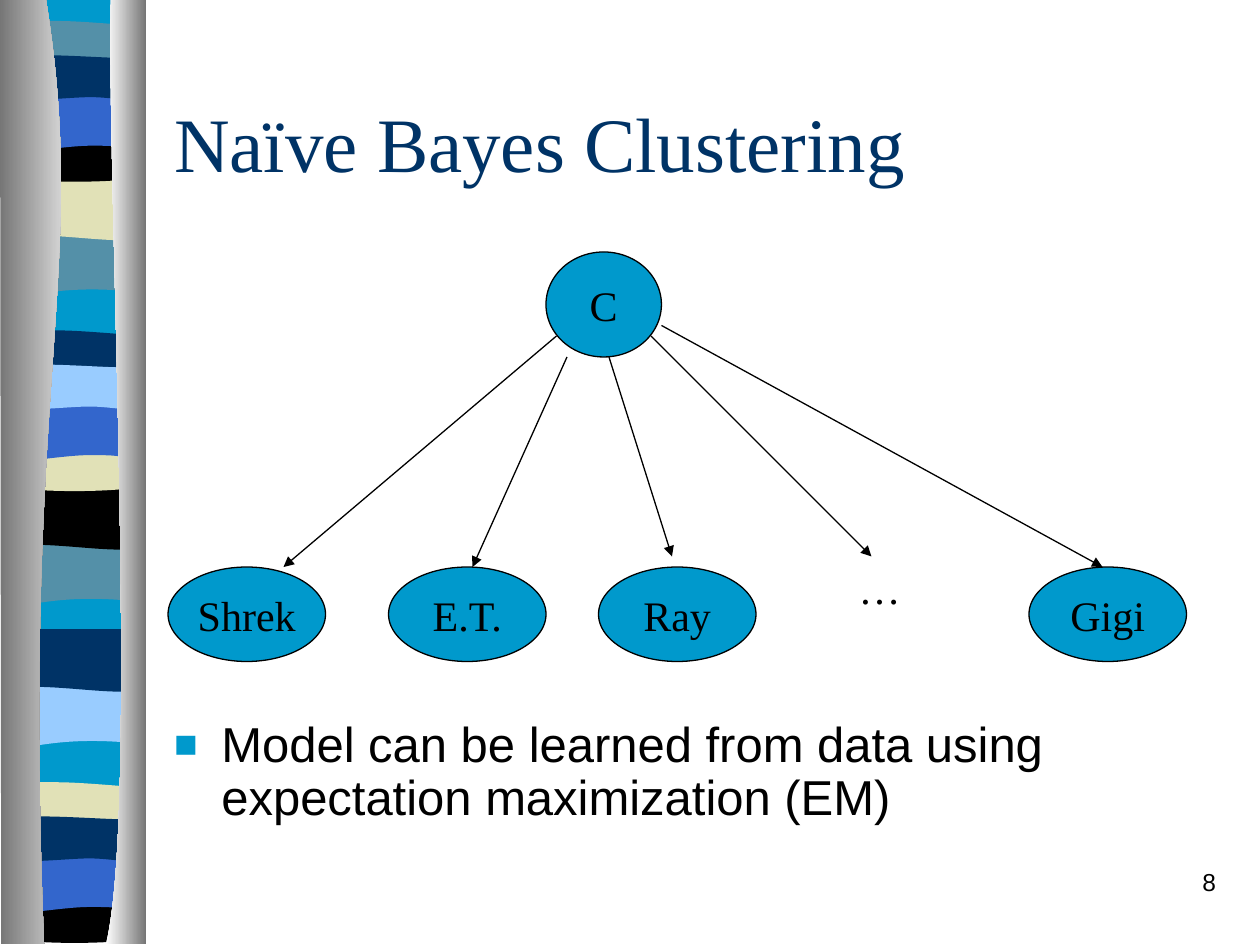
from dataclasses import dataclass

from lxml import etree
from pptx import Presentation
from pptx.dml.color import RGBColor
from pptx.enum.shapes import MSO_CONNECTOR, MSO_SHAPE
from pptx.enum.text import MSO_ANCHOR, PP_ALIGN
from pptx.oxml.ns import qn
from pptx.util import Pt

ELLIPSE = MSO_SHAPE.OVAL
STRAIGHT = MSO_CONNECTOR.STRAIGHT
TOP, MIDDLE = MSO_ANCHOR.TOP, MSO_ANCHOR.MIDDLE
LEFT, CENTER, RIGHT = PP_ALIGN.LEFT, PP_ALIGN.CENTER, PP_ALIGN.RIGHT

CYAN = RGBColor(0x00, 0x99, 0xCC)
STEEL = RGBColor(0x54, 0x90, 0xA8)
CREAM = RGBColor(0xE1, 0xE1, 0xB7)
BLUE = RGBColor(0x33, 0x66, 0xCC)
NAVY = RGBColor(0x00, 0x33, 0x66)
SKY = RGBColor(0x99, 0xCC, 0xFF)
BLACK = RGBColor(0x00, 0x00, 0x00)
GRAY = RGBColor(0x76, 0x76, 0x76)
WHITE = RGBColor(0xFF, 0xFF, 0xFF)
SERIF, SANS = "Times New Roman", "Arial"


@dataclass(frozen=True)
class Profile:
    top: float
    outline: tuple


@dataclass(frozen=True)
class BandSet:
    left: float
    offset: float
    colors: dict


@dataclass(frozen=True)
class Node:
    label: str
    left: float
    top: float
    width: float = 90
    height: float = 54


@dataclass(frozen=True)
class Arrow:
    start: tuple
    end: tuple


@dataclass(frozen=True)
class Label:
    text: str
    left: float
    top: float
    width: float
    height: float
    size: float
    font: str
    color: RGBColor = BLACK
    align: PP_ALIGN = LEFT
    anchor: MSO_ANCHOR = TOP
    wrap: bool = True
    space_before: float = 0


PROFILES = {
    "drape": Profile(133.2, ((78, 0), (78, 34), (24, 28, 13, 39.5, 0, 34), (0, 0))),
    "hang": Profile(101.5, ((78, 0), (78, 34), (65, 39.5, 24, 30, 0, 34), (0, 0))),
    "ribbon": Profile(11.5, ((78, 3.5), (78, 21), (65, 24, 13, 24, 0, 21), (0, 3.5),
                             (4.5, 0, 17, 0.5, 29.5, 0.5), (42.5, 0.5, 68, 3, 78, 3.5))),
    "shallow": Profile(77.8, ((78, 0), (78, 23), (65, 27, 13, 27, 0, 23), (0, 0),
                              (47.5, 3.6, 61, 0, 78, 0))),
    "arch": Profile(53.3, ((78, 0), (78, 34), (66, 30, 60.5, 30, 47.5, 30),
                           (34.5, 30, 11.5, 34, 0, 34), (0, 0))),
    "swell": Profile(29.5, ((78, 3.6), (78, 26), (73, 29.5, 60.5, 26, 47.5, 26),
                            (34.5, 26, 8, 29.5, 0, 26), (0, 3.6),
                            (11, 0, 52.5, 3.6, 65.5, 3.6), (78.5, 3.6, 75, 3.6, 78, 3.6))),
}
BAND_SETS = (
    BandSet(4.3, 0, {"drape": STEEL, "hang": CREAM, "ribbon": STEEL,
                     "shallow": BLACK, "arch": BLUE, "swell": NAVY}),
    BandSet(3.6, 176.8, {"drape": STEEL, "hang": BLACK, "ribbon": NAVY,
                         "shallow": CREAM, "arch": BLUE, "swell": SKY}),
    BandSet(4.3, 258, {"drape": SKY, "hang": NAVY}),
    BandSet(3.6, 435, {"ribbon": CREAM, "shallow": BLACK, "arch": BLUE, "swell": NAVY}),
)
STRIP = ((82, -0.7), (82, 538), (4.3, 538), (4.3, -0.7))
LEFT_COLUMN = ((26.2, -0.7), (51.4, 155.5, 12, 213, 25.2, 539.5), (0.7, 539.5), (0, -0.7))
RIGHT_COLUMN = ((63.4, -0.7), (60.5, 90, 80, 465, 60.5, 539.5), (83.5, 539.5), (83.5, 0))

NODES = (
    Node("C", 312, 144, 66, 60),
    Node("Shrek", 96, 324),
    Node("E.T.", 222, 324),
    Node("Ray", 342, 324),
    Node("Gigi", 588, 324),
)
ARROWS = (
    Arrow((318, 192), (162, 324)),
    Arrow((324, 204), (270, 324)),
    Arrow((348, 204), (384, 318)),
    Arrow((372, 192), (498, 318)),
    Arrow((378, 186), (630, 324)),
)
TITLE = Label("Naïve Bayes Clustering", 92.4, 36, 612, 90, 44, SERIF, NAVY, anchor=MIDDLE)
BODY = Label("Model can be learned from data using expectation maximization (EM)",
             92.4, 408, 612, 72, 28, SANS, space_before=7)
DOTS = Label("…", 483.6, 318, 38, 36, 24, SERIF, wrap=False)
PAGE_NUMBER = Label("8", 552, 492, 150, 36, 14, SANS, align=RIGHT, space_before=8.8)


def bend_segments(shape, outline: tuple):
    path = next(shape.element.iter(qn("a:path")))
    segments = iter(path.findall(qn("a:lnTo")))
    for step in outline[1:]:
        segment = next(segments)
        if len(step) == 6:
            curve = etree.Element(qn("a:cubicBezTo"))
            segment.addprevious(curve)
            for control in (segment, next(segments), next(segments)):
                curve.append(control[0])
                path.remove(control)


def draw_outline(page, outline: tuple, colors: tuple, left: float = 0, top: float = 0):
    points = [(Pt(left + step[index]), Pt(top + step[index + 1]))
              for step in outline for index in range(0, len(step), 2)]
    builder = page.shapes.build_freeform(*points[0])
    builder.add_line_segments(points[1:], close=True)
    shape = builder.convert_to_shape()
    bend_segments(shape, outline)
    shape.shadow.inherit = False
    shape.line.fill.background()
    if len(colors) == 1:
        shape.fill.solid()
        shape.fill.fore_color.rgb = colors[0]
        return
    shape.fill.gradient()
    shape.fill.gradient_angle = 0
    for stop, color in zip(shape.fill.gradient_stops, colors):
        stop.color.rgb = color


def write_text(frame, text: str, size: float, font: str, color: RGBColor,
               align: PP_ALIGN, anchor: MSO_ANCHOR, wrap: bool):
    frame.text = text
    frame.word_wrap = wrap
    frame.vertical_anchor = anchor
    para = frame.paragraphs[0]
    para.alignment = align
    span = para.runs[0]
    span.font.size = Pt(size)
    span.font.name = font
    span.font.color.rgb = color
    return para


def draw_label(page, label: Label):
    box = page.shapes.add_textbox(Pt(label.left), Pt(label.top),
                                  Pt(label.width), Pt(label.height))
    para = write_text(box.text_frame, label.text, label.size, label.font, label.color,
                      label.align, label.anchor, label.wrap)
    para.space_before = Pt(label.space_before)
    return para


def add_bullet(para, color: RGBColor):
    para.line_spacing = 0.9
    properties = para._p.get_or_add_pPr()
    properties.set("marL", str(Pt(27)))
    properties.set("indent", str(-Pt(27)))
    tint = etree.SubElement(properties, qn("a:buClr"))
    etree.SubElement(tint, qn("a:srgbClr"), val=str(color))
    etree.SubElement(properties, qn("a:buSzPct"), val="80000")
    etree.SubElement(properties, qn("a:buFont"), typeface=SANS)
    etree.SubElement(properties, qn("a:buChar"), char="■")


def draw_node(page, node: Node):
    shape = page.shapes.add_shape(ELLIPSE, Pt(node.left), Pt(node.top),
                                  Pt(node.width), Pt(node.height))
    shape.shadow.inherit = False
    shape.fill.solid()
    shape.fill.fore_color.rgb = CYAN
    shape.line.color.rgb = BLACK
    shape.line.width = Pt(0.75)
    write_text(shape.text_frame, node.label, 24, SERIF, BLACK, CENTER, MIDDLE, False)


def draw_arrow(page, arrow: Arrow):
    ends = [Pt(value) for value in arrow.start + arrow.end]
    connector = page.shapes.add_connector(STRAIGHT, *ends)
    connector.line.color.rgb = BLACK
    connector.line.width = Pt(0.75)
    etree.SubElement(connector.get_or_add_ln(), qn("a:tailEnd"), type="triangle")
    etree.SubElement(connector.element.spPr, qn("a:effectLst"))


def main():
    deck = Presentation()
    deck.slide_width, deck.slide_height = Pt(720), Pt(540)
    page = deck.slides.add_slide(deck.slide_layouts[6])
    draw_outline(page, STRIP, (CYAN,))
    for band_set in BAND_SETS:
        for name, color in band_set.colors.items():
            profile = PROFILES[name]
            draw_outline(page, profile.outline, (color,), band_set.left,
                         band_set.offset + profile.top)
    draw_outline(page, LEFT_COLUMN, (GRAY, WHITE))
    draw_outline(page, RIGHT_COLUMN, (WHITE, GRAY))
    draw_label(page, TITLE)
    add_bullet(draw_label(page, BODY), CYAN)
    for node in NODES:
        draw_node(page, node)
    for arrow in ARROWS:
        draw_arrow(page, arrow)
    draw_label(page, DOTS)
    draw_label(page, PAGE_NUMBER)
    deck.save("out.pptx")


if __name__ == "__main__":
    main()
